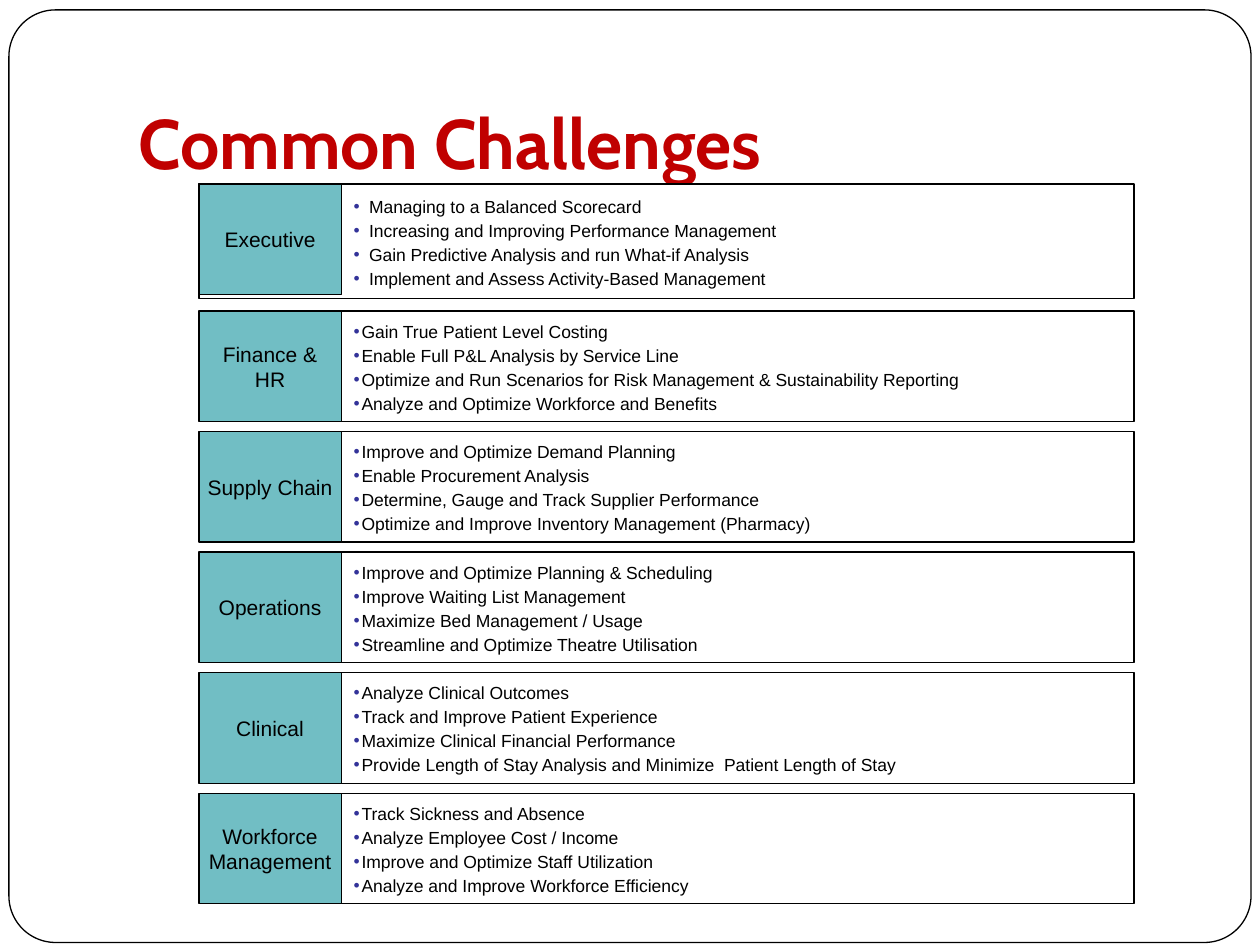
from dataclasses import dataclass

from lxml.etree import SubElement
from pptx import Presentation
from pptx.dml.color import RGBColor
from pptx.enum.shapes import MSO_SHAPE as Preset
from pptx.enum.text import MSO_ANCHOR as Anchor, PP_ALIGN as Align
from pptx.oxml.ns import qn
from pptx.shapes.autoshape import Shape
from pptx.slide import Slide
from pptx.text.text import TextFrame, _Paragraph as Paragraph
from pptx.util import Cm, Length, Pt


@dataclass(frozen=True)
class Theme:
    paper: str = "FFFFFF"
    ink: str = "000000"
    title: str = "C00000"
    label: str = "71BEC4"
    bullet: str = "333399"
    title_font: str = "Cabin"
    body_font: str = "Arial"
    title_size: int = 40
    label_size: int = 12
    body_size: int = 10
    outline: float = 0.75


@dataclass(frozen=True)
class Area:
    """One business area; its body box may reach left behind the label."""
    name: str
    challenges: tuple[str, ...]
    top: Length
    body_left: Length
    body_height: Length
    indent: Length
    hanging: Length


THEME = Theme()

LABEL_LEFT, LABEL_WIDTH, ROW_HEIGHT = Cm(4.01), Cm(2.87), Cm(2.23)
BODY_LEFT = LABEL_LEFT + LABEL_WIDTH
BODY_RIGHT = Cm(22.86)
FIRST_TOP, SECOND_TOP, ROW_PITCH = Cm(3.71), Cm(6.27), Cm(2.43)

EXECUTIVE = Area(
    "Executive",
    ("Managing to a Balanced Scorecard",
     "Increasing and Improving Performance Management",
     "Gain Predictive Analysis and run What-if Analysis",
     "Implement and Assess Activity-Based Management"),
    FIRST_TOP, LABEL_LEFT, Cm(2.31), Cm(3.18), Cm(0.31),
)

DEPARTMENTS = {
    "Finance & HR": (
        "Gain True Patient Level Costing",
        "Enable Full P&L Analysis by Service Line",
        "Optimize and Run Scenarios for Risk Management & Sustainability Reporting",
        "Analyze and Optimize Workforce and Benefits"),
    "Supply Chain": (
        "Improve and Optimize Demand Planning",
        "Enable Procurement Analysis",
        "Determine, Gauge and Track Supplier Performance",
        "Optimize and Improve Inventory Management (Pharmacy)"),
    "Operations": (
        "Improve and Optimize Planning & Scheduling",
        "Improve Waiting List Management",
        "Maximize Bed Management / Usage",
        "Streamline and Optimize Theatre Utilisation"),
    "Clinical": (
        "Analyze Clinical Outcomes",
        "Track and Improve Patient Experience",
        "Maximize Clinical Financial Performance",
        "Provide Length of Stay Analysis and Minimize  Patient Length of Stay"),
    "Workforce Management": (
        "Track Sickness and Absence",
        "Analyze Employee Cost / Income",
        "Improve and Optimize Staff Utilization",
        "Analyze and Improve Workforce Efficiency"),
}


def color(code: str) -> RGBColor:
    return RGBColor.from_string(code)


def add_box(page: Slide, left: Length, top: Length, width: Length, height: Length,
            *, fill: str = THEME.paper, preset: Preset = Preset.RECTANGLE) -> Shape:
    box = page.shapes.add_shape(preset, left, top, width, height)
    box.shadow.inherit = False
    box.fill.solid()
    box.fill.fore_color.rgb = color(fill)
    box.line.color.rgb = color(THEME.ink)
    box.line.width = Pt(THEME.outline)
    return box


def set_frame(frame: TextFrame, *, anchor: Anchor = Anchor.MIDDLE,
              side: Length = Cm(0.25), bottom: Length = Cm(0.13)) -> None:
    frame.word_wrap = True
    frame.vertical_anchor = anchor
    frame.margin_left = frame.margin_right = side
    frame.margin_top, frame.margin_bottom = Cm(0.13), bottom


def write(para: Paragraph, text: str, *, size: float, font: str = THEME.body_font,
          ink: str = THEME.ink, bold: bool = False, align: Align = Align.LEFT) -> None:
    para.alignment = align
    span = para.add_run()
    span.text = text
    span.font.name = font
    span.font.size = Pt(size)
    span.font.bold = bold
    span.font.color.rgb = color(ink)


def add_bullet(para: Paragraph, indent: Length, hanging: Length) -> None:
    para.line_spacing = 1.1
    para.space_before = Pt(0.5)
    properties = para._p.get_or_add_pPr()
    properties.set("marL", str(int(indent)))
    properties.set("indent", str(-int(hanging)))
    bullet_color = SubElement(properties, qn("a:buClr"))
    SubElement(bullet_color, qn("a:srgbClr"), val=THEME.bullet)
    SubElement(properties, qn("a:buFont"), typeface=THEME.body_font)
    SubElement(properties, qn("a:buChar"), char="•")


def add_area(page: Slide, area: Area) -> None:
    body = add_box(page, area.body_left, area.top,
                   BODY_RIGHT - area.body_left, area.body_height)
    frame = body.text_frame
    set_frame(frame)
    for index, challenge in enumerate(area.challenges):
        para = frame.add_paragraph() if index else frame.paragraphs[0]
        write(para, challenge, size=THEME.body_size)
        add_bullet(para, area.indent, area.hanging)

    label = add_box(page, LABEL_LEFT, area.top, LABEL_WIDTH, ROW_HEIGHT, fill=THEME.label)
    set_frame(label.text_frame, side=Cm(0.13))
    write(label.text_frame.paragraphs[0], area.name,
          size=THEME.label_size, align=Align.CENTER)


def add_title(page: Slide, text: str) -> None:
    box = page.shapes.add_textbox(Cm(2.54), Cm(0.76), Cm(21.59), Cm(3.18))
    set_frame(box.text_frame, anchor=Anchor.BOTTOM, bottom=Cm(0.25))
    write(box.text_frame.paragraphs[0], text, size=THEME.title_size,
          font=THEME.title_font, ink=THEME.title, bold=True)


def main() -> None:
    deck = Presentation()
    deck.slide_width, deck.slide_height = Cm(25.4), Cm(19.05)
    page = deck.slides.add_slide(deck.slide_layouts[6])

    border = add_box(page, Cm(0.18), Cm(0.2), Cm(25.04), Cm(18.8),
                     preset=Preset.ROUNDED_RECTANGLE)
    border.adjustments[0] = 0.05
    add_title(page, "Common Challenges")

    add_area(page, EXECUTIVE)
    for row, (name, challenges) in enumerate(DEPARTMENTS.items()):
        add_area(page, Area(name, challenges, SECOND_TOP + row * ROW_PITCH,
                            BODY_LEFT, ROW_HEIGHT, Cm(0.16), Cm(0.16)))

    deck.save("out.pptx")


if __name__ == "__main__":
    main()
